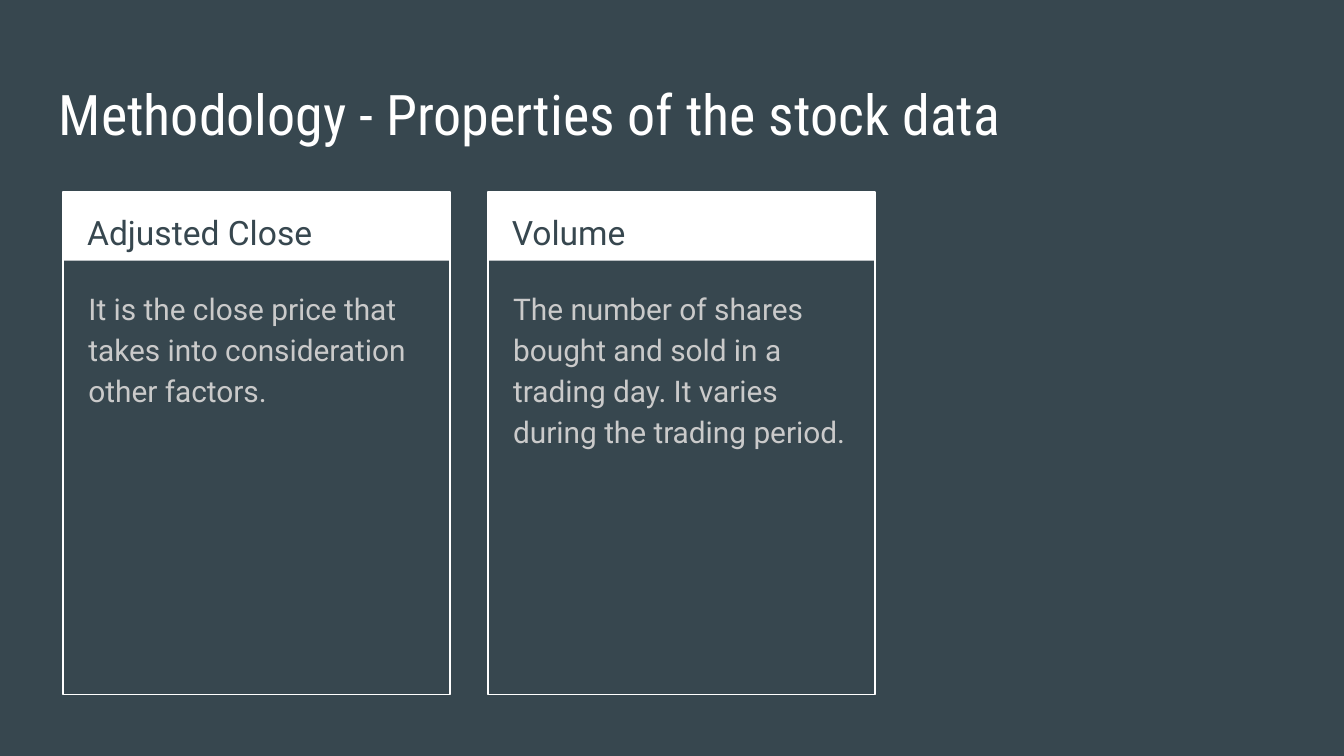
from pptx import Presentation
from pptx.dml.color import RGBColor
from pptx.enum import shapes, text
from pptx.util import Inches, Pt

COLORS = {
    "background": "37474F",
    "white": "FFFFFF",
    "body": "CACACA",
}
CARD_TOP, CARD_WIDTH, CARD_HEIGHT = 1.43, 2.88, 3.74
HEADER_HEIGHT = 0.51
CARD_LEFT, CARD_STEP = 0.47, 3.16
CARDS = [
    ("Adjusted Close",
     "It is the close price that takes into consideration other factors."),
    ("Volume",
     "The number of shares bought and sold in a trading day. "
     "It varies during the trading period."),
]


def color(name):
    return RGBColor.from_string(COLORS[name])


def add_text(slide, box, content, font, size, color_name, line_spacing=1.0):
    shape = slide.shapes.add_textbox(*map(Inches, box))
    frame = shape.text_frame
    frame.word_wrap = True
    frame.vertical_anchor = text.MSO_ANCHOR.TOP
    frame.margin_left = frame.margin_right = Inches(0.1)
    frame.margin_top = frame.margin_bottom = Inches(0.1)
    paragraph = frame.paragraphs[0]
    paragraph.line_spacing = line_spacing
    run = paragraph.add_run()
    run.text = content
    run.font.name = font
    run.font.size = Pt(size)
    run.font.color.rgb = color(color_name)


def add_rectangle(group, box, fill=None, line=None):
    shape = group.shapes.add_shape(
        shapes.MSO_SHAPE.RECTANGLE, *map(Inches, box))
    shape.shadow.inherit = False
    if fill:
        shape.fill.solid()
        shape.fill.fore_color.rgb = color(fill)
    else:
        shape.fill.background()
    if line:
        shape.line.color.rgb = color(line)
        shape.line.width = Pt(0.75)
    else:
        shape.line.fill.background()


def add_card(slide, left, heading, description):
    # Header band and outline belong together
    group = slide.shapes.add_group_shape()
    add_rectangle(group, (left, CARD_TOP, CARD_WIDTH, HEADER_HEIGHT),
                  fill="white")
    add_rectangle(group, (left, CARD_TOP, CARD_WIDTH, CARD_HEIGHT),
                  line="white")
    # Heading and description
    add_text(slide, (left + 0.08, CARD_TOP, 2.73, 0.5),
             heading, "Roboto", 18, "background", 1.15)
    add_text(slide, (left + 0.09, 2.02, 2.71, 3.06),
             description, "Roboto", 16, "body", 1.15)


def main():
    # Widescreen slide, 16:9
    presentation = Presentation()
    presentation.slide_width = Inches(10)
    presentation.slide_height = Inches(10 * 9 / 16)
    slide = presentation.slides.add_slide(presentation.slide_layouts[6])

    # Background
    slide.background.fill.solid()
    slide.background.fill.fore_color.rgb = color("background")

    # Title
    add_text(slide, (0.34, 0.49, 9.32, 0.63),
             "Methodology - Properties of the stock data",
             "Roboto Condensed", 30, "white")

    # Cards at equal steps
    for index, (heading, description) in enumerate(CARDS):
        add_card(slide, CARD_LEFT + index * CARD_STEP, heading, description)

    presentation.save("out.pptx")


if __name__ == "__main__":
    main()
